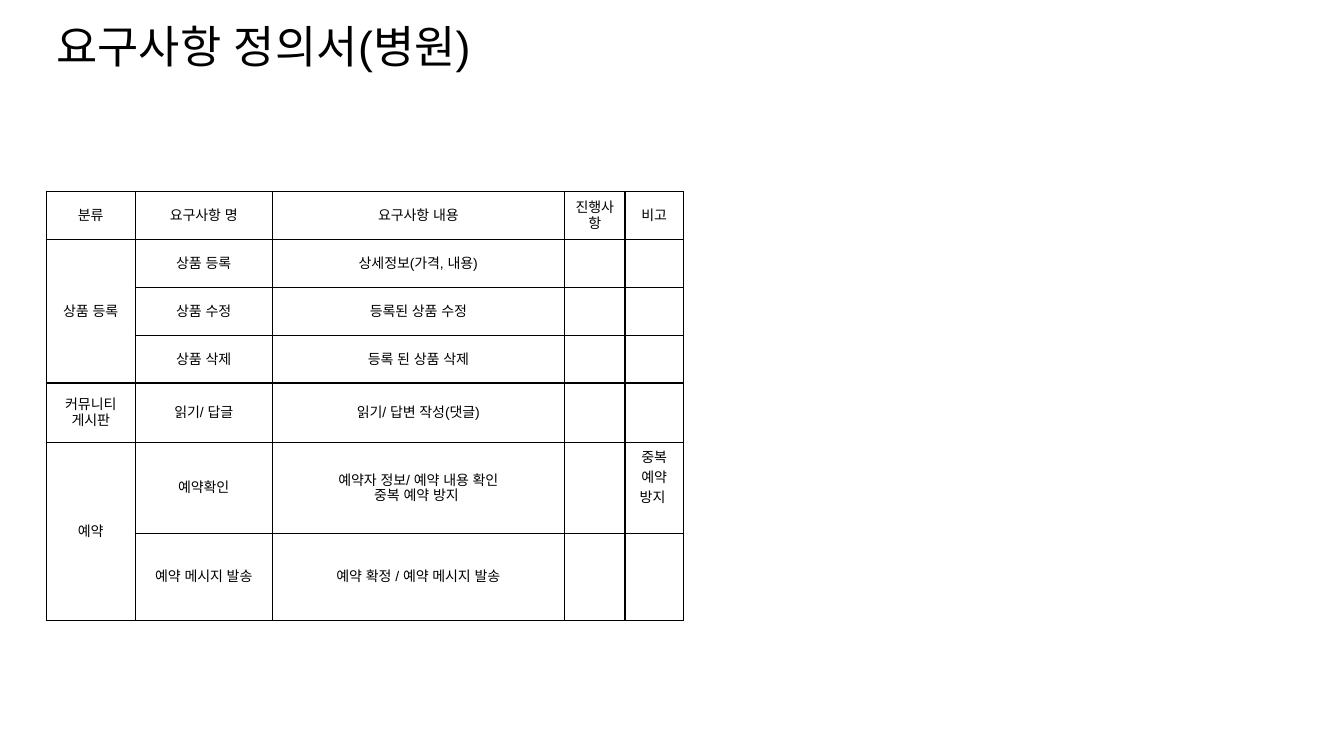
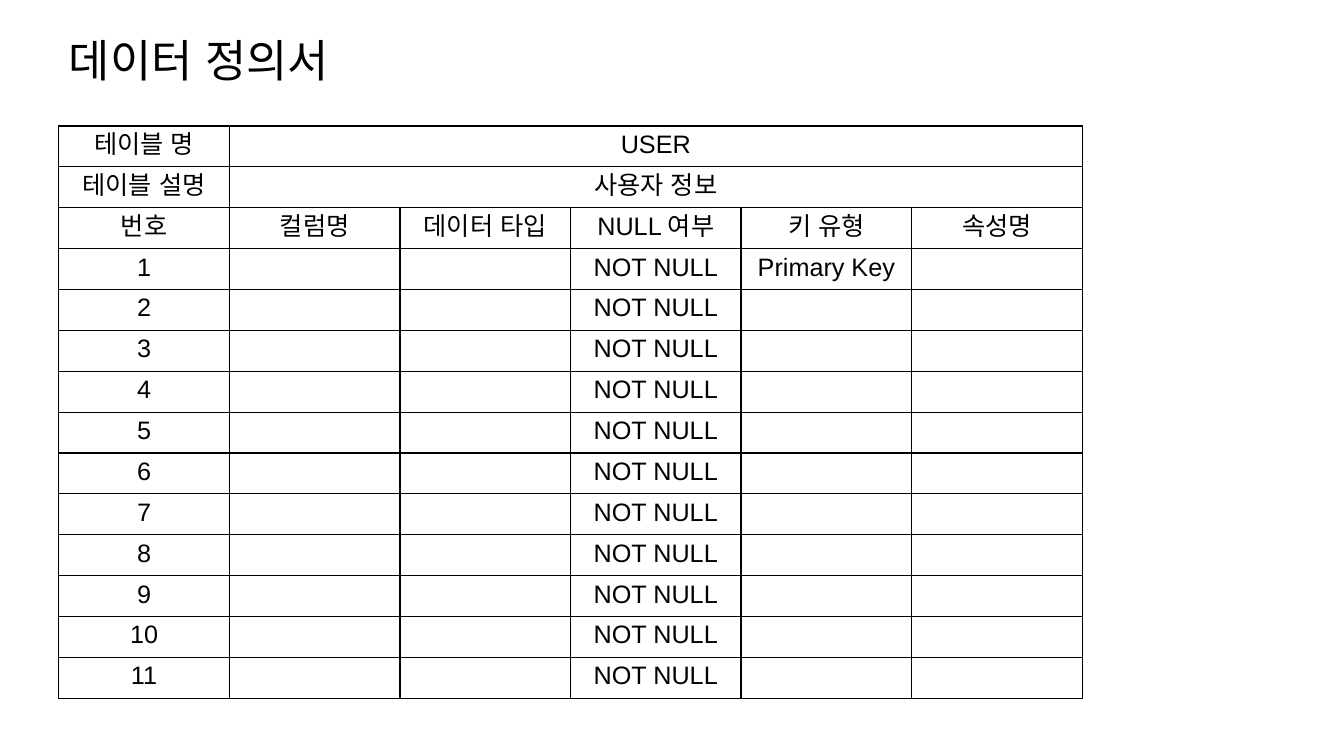
from dataclasses import dataclass

from lxml.etree import SubElement
from pptx import Presentation
from pptx.dml.color import RGBColor
from pptx.enum.text import MSO_ANCHOR as Anchor, MSO_AUTO_SIZE as AutoSize, PP_ALIGN as Align
from pptx.oxml.ns import qn
from pptx.util import Inches, Pt


@dataclass(frozen=True)
class Theme:
    ink: str = "000000"
    font: str = "Arial"
    korean_font: str = "Noto Sans CJK KR"
    title_size: int = 32
    requirement_size: int = 10
    data_size: int = 18
    border_width: int = 1


THEME = Theme()
GRID_COLUMNS, GRID_ROWS = 160, 90
TITLE_ONLY = 5


def write_text(frame, text, size, font=THEME.font, color=THEME.ink, align=Align.CENTER):
    for index, line in enumerate(text.split("\n")):
        paragraph = frame.paragraphs[0] if index == 0 else frame.add_paragraph()
        paragraph.alignment = align
        run = paragraph.add_run()
        run.text = line
        run.font.size = Pt(size)
        run.font.name = font
        run.font.color.rgb = RGBColor.from_string(color)
        SubElement(run._r.get_or_add_rPr(), qn("a:ea"), typeface=font)


def draw_borders(cell, color=THEME.ink, width=THEME.border_width):
    properties = cell._tc.get_or_add_tcPr()
    for side in ("lnL", "lnR", "lnT", "lnB"):
        line = SubElement(properties, qn(f"a:{side}"), w=str(Pt(width)))
        fill = SubElement(line, qn("a:solidFill"))
        SubElement(fill, qn("a:srgbClr"), val=color)
    cell.fill.background()


class Deck:
    def __init__(self):
        self.presentation = Presentation()
        self.presentation.slide_width = Inches(13.33)
        self.presentation.slide_height = Inches(7.5)
        self.slide = None

    def across(self, columns):
        return round(self.presentation.slide_width * columns / GRID_COLUMNS)

    def down(self, rows):
        return round(self.presentation.slide_height * rows / GRID_ROWS)

    def add_slide(self):
        layout = self.presentation.slide_layouts[TITLE_ONLY]
        self.slide = self.presentation.slides.add_slide(layout)

    def title(self, text, left, top, width, height=7.7):
        title = self.slide.shapes.title
        title.left, title.top = self.across(left), self.down(top)
        title.width, title.height = self.across(width), self.down(height)
        frame = title.text_frame
        frame.word_wrap = True
        frame.auto_size = AutoSize.NONE
        frame.vertical_anchor = Anchor.TOP
        write_text(frame, text, THEME.title_size, align=Align.LEFT)

    def table(self, rows, left, top, widths, heights, size, anchor, margins, merges,
              notes=()):
        table = self.slide.shapes.add_table(
            len(heights), len(widths), self.across(left), self.down(top),
            self.across(sum(widths)), self.down(sum(heights))).table
        table.first_row = table.horz_banding = False
        for column, width in zip(table.columns, widths):
            column.width = self.across(width)
        for row, height in zip(table.rows, heights):
            row.height = self.down(height)
        for row_index, texts in enumerate(rows):
            for column_index in range(len(widths)):
                cell = table.cell(row_index, column_index)
                is_note = (row_index, column_index) in notes
                cell.vertical_anchor = Anchor.TOP if is_note else anchor
                cell.margin_top, cell.margin_bottom = map(self.down, margins)
                draw_borders(cell)
                text = texts[column_index] if column_index < len(texts) else ""
                if text:
                    font = THEME.korean_font if is_note else THEME.font
                    write_text(cell.text_frame, text, size, font=font)
        for first, last in merges:
            table.cell(*first).merge(table.cell(*last))


REQUIREMENTS = [
    ["분류", "요구사항 명", "요구사항 내용", "진행사항", "비고"],
    ["상품 등록", "상품 등록", "상세정보(가격, 내용)"],
    ["", "상품 수정", "등록된 상품 수정"],
    ["", "상품 삭제", "등록 된 상품 삭제"],
    ["커뮤니티 게시판", "읽기/ 답글", "읽기/ 답변 작성(댓글)"],
    ["예약", "예약확인", "예약자 정보/ 예약 내용 확인\n중복 예약 방지 ", "", "중복 예약 방지 "],
    ["", "예약 메시지 발송", "예약 확정 / 예약 메시지 발송"],
]

USER_FIELDS = [
    ["테이블 명", "USER"],
    ["테이블 설명", "사용자 정보"],
    ["번호", "컬럼명", "데이터 타입", "NULL 여부", "키 유형", "속성명"],
] + [
    [str(number), "", "", "NOT NULL", "Primary Key" if number == 1 else ""]
    for number in range(1, 12)
]


def requirements_slide(deck):
    deck.add_slide()
    deck.title("요구사항 정의서(병원)", 5.5, 1.6, 62.5)
    deck.table(
        REQUIREMENTS, 5.5, 22.8,
        widths=[10.6, 16.3, 34.8, 7.2, 6.95],
        heights=[5.7] * 4 + [7.1, 10.8, 10.4],
        size=THEME.requirement_size, anchor=Anchor.MIDDLE, margins=(0.45, 0.4),
        merges=[((1, 0), (3, 0)), ((5, 0), (6, 0))],
        notes=[(5, 4)])


def data_slide(deck):
    deck.add_slide()
    deck.title("데이터 정의서", 7, 3.3, 59)
    deck.table(
        USER_FIELDS, 7, 15,
        widths=[20.31] * 6, heights=[4.87] * len(USER_FIELDS),
        size=THEME.data_size, anchor=Anchor.TOP, margins=(0.55, 0),
        merges=[((row, 1), (row, 5)) for row in range(2)])


def main():
    deck = Deck()
    requirements_slide(deck)
    data_slide(deck)
    deck.presentation.save("out.pptx")


if __name__ == "__main__":
    main()
